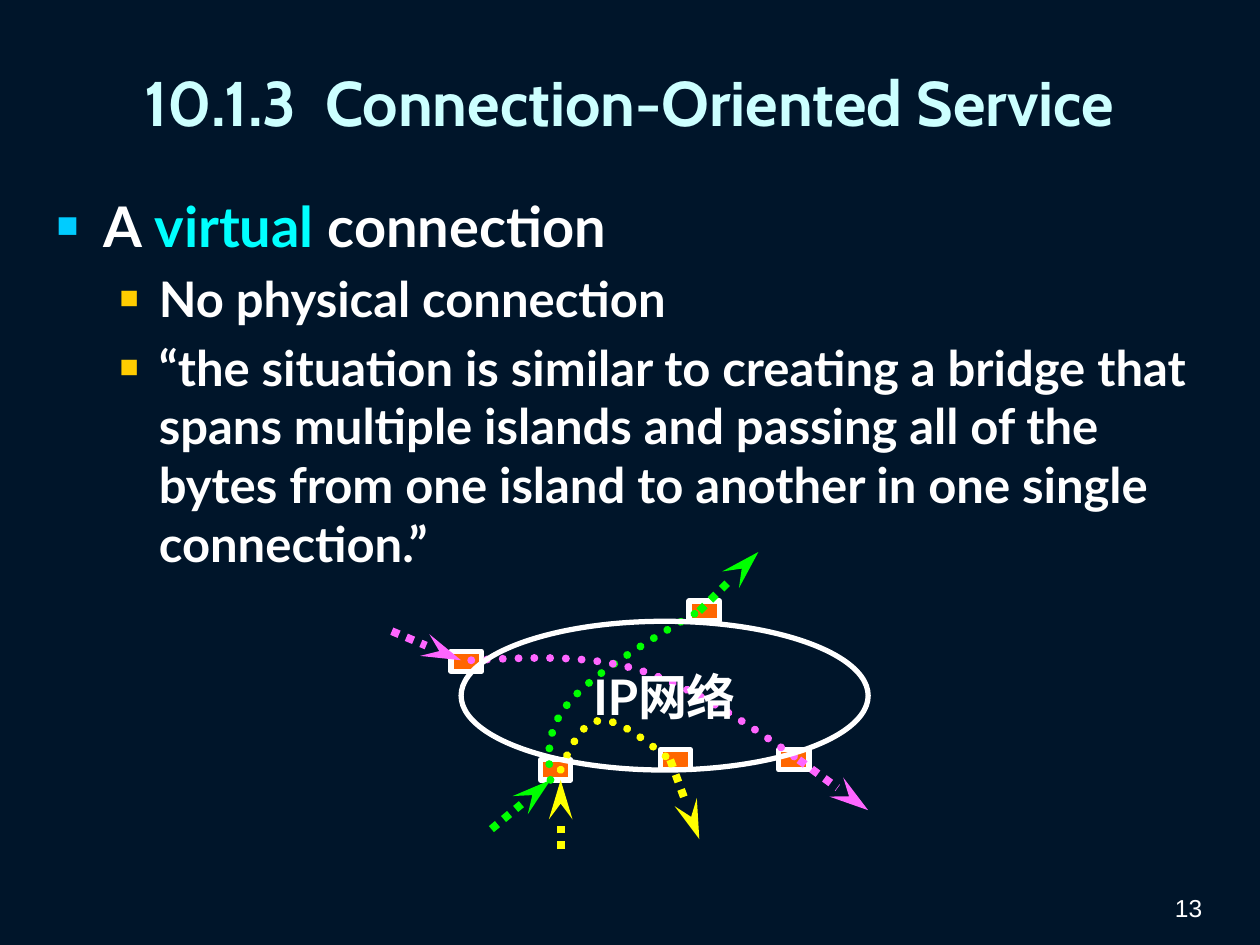
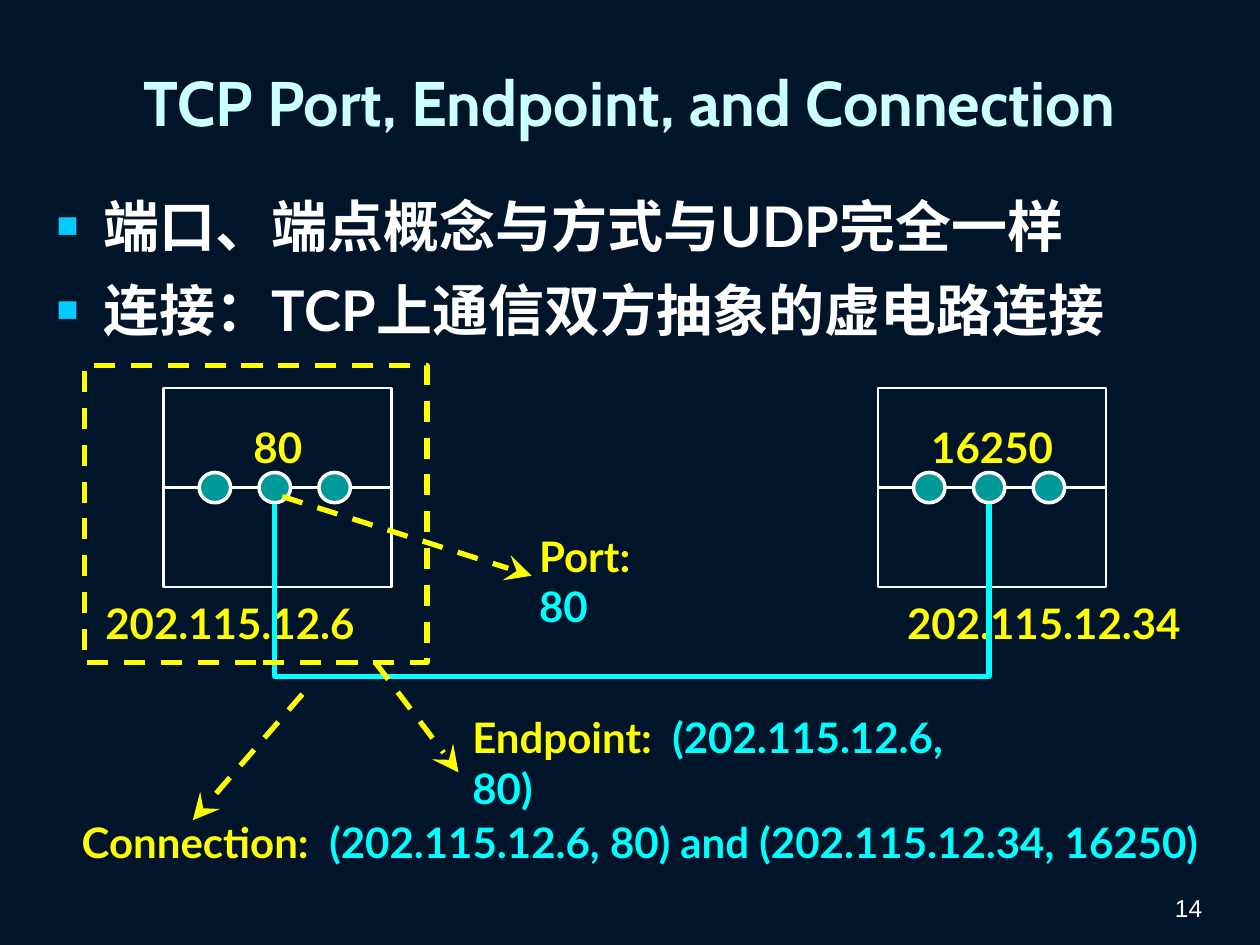
from lxml.etree import SubElement
from pptx import Presentation
from pptx.dml.color import RGBColor
from pptx.enum.dml import MSO_LINE
from pptx.enum.shapes import MSO_CONNECTOR, MSO_SHAPE
from pptx.enum.text import MSO_ANCHOR, PP_ALIGN
from pptx.oxml.ns import qn
from pptx.util import Pt

NAVY, WHITE, MINT = "00152A", "FFFFFF", "CCFFFF"
CYAN, YELLOW, GREEN, PINK = "00FFFF", "FFFF00", "00FF00", "FF66FF"
ORANGE, TEAL, SKY, GOLD = "FF6600", "009999", "00CCFF", "FFCC00"

# Per outline level: left margin, hanging indent, text size, space before, bullet colour
LEVELS = [(27, 27, 32, 9.6, SKY), (58.5, 22.5, 28, 5.6, GOLD)]

ROUTERS = [(257.8, 372.2), (377.3, 428.4), (393.8, 343.4), (445, 428.4), (308.9, 434.2)]

# Per flow: colour, way in, Bezier curves through the network, way out
FLOWS = [
    (GREEN, [(280.8, 473.8), (314.6, 445.7)],
     [(314.6, 445.7), (313.2, 431.3), (311.8, 416.2), (326.2, 400.3),
      (339.8, 384.5), (370.1, 366.5), (399.6, 349.2)],
     [(399.6, 349.2), (433.4, 315.4)]),
    (PINK, [(223.9, 360.7), (263.5, 377.3)],
     [(269.3, 377.3), (301.7, 375.8), (334.8, 373.7), (365.8, 383),
      (396.7, 393.1), (427, 413.3), (456.5, 434.2)],
     [(456.5, 434.2), (496.1, 463)]),
    (YELLOW, [(320.4, 485.3), (320.4, 445.7)],
     [(320.4, 439.9), (326.2, 426.2), (332.6, 412.6), (342.7, 411.8),
      (353.5, 410.4), (367.9, 422.6), (383, 434.2)],
     [(383, 434.2), (399.6, 479.5)]),
]


def color(hex_string):
    return RGBColor.from_string(hex_string)


def write(frame, *spans, para=None, size=24, font="Lato", bold=True,
          align=PP_ALIGN.LEFT, anchor=MSO_ANCHOR.TOP, wrap=True, before=0):
    """Put (text, colour) spans in one paragraph of a text frame."""
    frame.word_wrap = wrap
    frame.vertical_anchor = anchor
    para = para or frame.paragraphs[0]
    para.alignment = align
    para.space_before = Pt(before)
    for text, tint in spans:
        span = para.add_run()
        span.text = text
        span.font.name = font
        span.font.size = Pt(size)
        span.font.bold = bold
        span.font.color.rgb = color(tint)
    return para


def add_text(page, left, top, width, height, *spans, **style):
    box = page.shapes.add_textbox(Pt(left), Pt(top), Pt(width), Pt(height))
    write(box.text_frame, *spans, **style)


def style_line(shape, tint, weight, dash=None):
    shape.line.color.rgb = color(tint)
    shape.line.width = Pt(weight)
    if dash:
        shape.line.dash_style = dash
    return shape._element.spPr.find(qn("a:ln"))


def add_figure(page, kind, left, top, width, height, weight, fill=None, line=WHITE, dash=None):
    figure = page.shapes.add_shape(kind, Pt(left), Pt(top), Pt(width), Pt(height))
    figure.shadow.inherit = False
    if fill:
        figure.fill.solid()
        figure.fill.fore_color.rgb = color(fill)
    else:
        figure.fill.background()
    style_line(figure, line, weight, dash)
    return figure


def add_arrow(page, start, end, tint, weight, dash, head_width):
    arrow = page.shapes.add_connector(
        MSO_CONNECTOR.STRAIGHT, *(Pt(value) for value in (*start, *end)))
    line = style_line(arrow, tint, weight, dash)
    SubElement(line, qn("a:tailEnd"), type="stealth", w=head_width, len="lg")
    SubElement(arrow._element.spPr, qn("a:effectLst"))


def add_path(page, points, tint, weight, dash=None):
    start, *rest = [(Pt(x), Pt(y)) for x, y in points]
    builder = page.shapes.build_freeform(*start)
    builder.add_line_segments(rest, close=False)
    outline = builder.convert_to_shape()
    outline.shadow.inherit = False
    outline.fill.background()
    line = style_line(outline, tint, weight, dash)
    if dash:
        line.set("cap", "rnd")


def curve_points(controls, steps=16):
    """Sample a chain of cubic Bezier curves that share their end points."""
    points = [controls[0]]
    for first in range(0, len(controls) - 1, 3):
        piece = controls[first:first + 4]
        for step in range(1, steps + 1):
            t = step / steps
            weights = ((1 - t) ** 3, 3 * t * (1 - t) ** 2, 3 * t ** 2 * (1 - t), t ** 3)
            points.append(tuple(sum(w * point[axis] for w, point in zip(weights, piece))
                                for axis in (0, 1)))
    return points


def add_outline(page, items):
    """Add the bulleted text; each item is a level and its spans."""
    frame = page.shapes.add_textbox(Pt(25.2), Pt(105.84), Pt(668.9), Pt(391)).text_frame
    for index, (level, *spans) in enumerate(items):
        margin, hang, size, before, tint = LEVELS[level]
        para = frame.add_paragraph() if index else frame.paragraphs[0]
        write(frame, *spans, para=para, size=size, before=before)
        para.level = level
        props = para._p.get_or_add_pPr()
        props.set("marL", str(Pt(margin)))
        props.set("indent", str(-Pt(hang)))
        SubElement(SubElement(props, qn("a:buClr")), qn("a:srgbClr"), val=tint)
        SubElement(props, qn("a:buSzPct"), val="65000")
        SubElement(props, qn("a:buFont"), typeface="Arial")
        SubElement(props, qn("a:buChar"), char="■")


def add_page(deck, title, number, items):
    page = deck.slides.add_slide(deck.slide_layouts[6])
    page.background.fill.solid()
    page.background.fill.fore_color.rgb = color(NAVY)
    add_text(page, 526.3, 496.8, 167.8, 33.8, (number, WHITE), size=14, font="Arial",
             bold=False, align=PP_ALIGN.RIGHT, anchor=MSO_ANCHOR.BOTTOM)
    add_text(page, 25.2, 9.4, 668.9, 96.5, (title, MINT), size=36, font="Cabin",
             align=PP_ALIGN.CENTER, anchor=MSO_ANCHOR.MIDDLE)
    add_outline(page, items)
    return page


def add_network(page):
    for left, top in ROUTERS:
        add_figure(page, MSO_SHAPE.RECTANGLE, left, top, 17.3, 11.5, 3, ORANGE)
    for tint, way_in, curve, way_out in FLOWS:
        for start, end in (way_in, way_out):
            add_arrow(page, start, end, tint, 4.5, MSO_LINE.ROUND_DOT, "med")
        add_path(page, curve_points(curve), tint, 4.5, MSO_LINE.ROUND_DOT)
    cloud = add_figure(page, MSO_SHAPE.OVAL, 263.5, 355, 232.6, 85, 3)
    write(cloud.text_frame, ("IP网络", WHITE), size=28, align=PP_ALIGN.CENTER,
          anchor=MSO_ANCHOR.MIDDLE, wrap=False)


def add_host(page, left, port, address, address_left):
    """Draw a host as two layers with three ports on their border."""
    for top in (278.6, 221.8):
        add_figure(page, MSO_SHAPE.RECTANGLE, left, top, 130.3, 56.9, 1.5)
    for index in range(3):
        add_figure(page, MSO_SHAPE.OVAL, left + 20.2 + 34.2 * index, 270, 18, 17.3, 2, TEAL)
    label = dict(align=PP_ALIGN.CENTER, before=12)
    add_text(page, address_left, 337.7, 177.8, 36, (address, YELLOW), **label)
    add_text(page, left + 21.6, 237.6, 87, 36, (port, YELLOW), **label)


def add_ports_diagram(page):
    add_host(page, 93.6, "80", "202.115.12.6", 42.5)
    add_host(page, 501.8, "16250", "202.115.12.34", 507.6)
    for left, top, width, name, value in [
        (301, 313.9, 93.6, "Port:", "  80"),
        (262.8, 417.6, 312, "Endpoint:", "  (202.115.12.6, 80)"),
        (39.6, 463, 666, "Connection:", "  (202.115.12.6, 80) and (202.115.12.34, 16250)"),
    ]:
        add_text(page, left, top, width, 36, (name, YELLOW), (value, CYAN),
                 anchor=MSO_ANCHOR.MIDDLE)
    add_path(page, [(157, 288), (157, 386.6), (565.2, 386.6), (565.2, 288)], CYAN, 3)
    add_figure(page, MSO_SHAPE.RECTANGLE, 48.2, 208.8, 195.8, 169.9, 3,
               line=YELLOW, dash=MSO_LINE.DASH)
    for start, end in [((161.3, 283.7), (303.8, 329)),
                       ((214.6, 378.7), (262, 441.4)),
                       ((172.8, 396.7), (110.2, 468.7))]:
        add_arrow(page, start, end, YELLOW, 3, MSO_LINE.DASH, "lg")


def main():
    deck = Presentation()
    deck.slide_width, deck.slide_height = Pt(720), Pt(540)
    add_network(add_page(deck, "10.1.3  Connection-Oriented Service", "13", [
        (0, ("A ", WHITE), ("virtual ", CYAN), ("connection", WHITE)),
        (1, ("No physical connection", WHITE)),
        (1, ("“the situation is similar to creating a bridge that spans multiple islands "
             "and passing all of the bytes from one island to another in one single "
             "connection.”", WHITE)),
    ]))
    add_ports_diagram(add_page(deck, "TCP Port, Endpoint, and Connection", "14", [
        (0, ("端口、端点概念与方式与UDP完全一样", WHITE)),
        (0, ("连接：TCP上通信双方抽象的虚电路连接", WHITE)),
    ]))
    deck.save("out.pptx")


if __name__ == "__main__":
    main()
